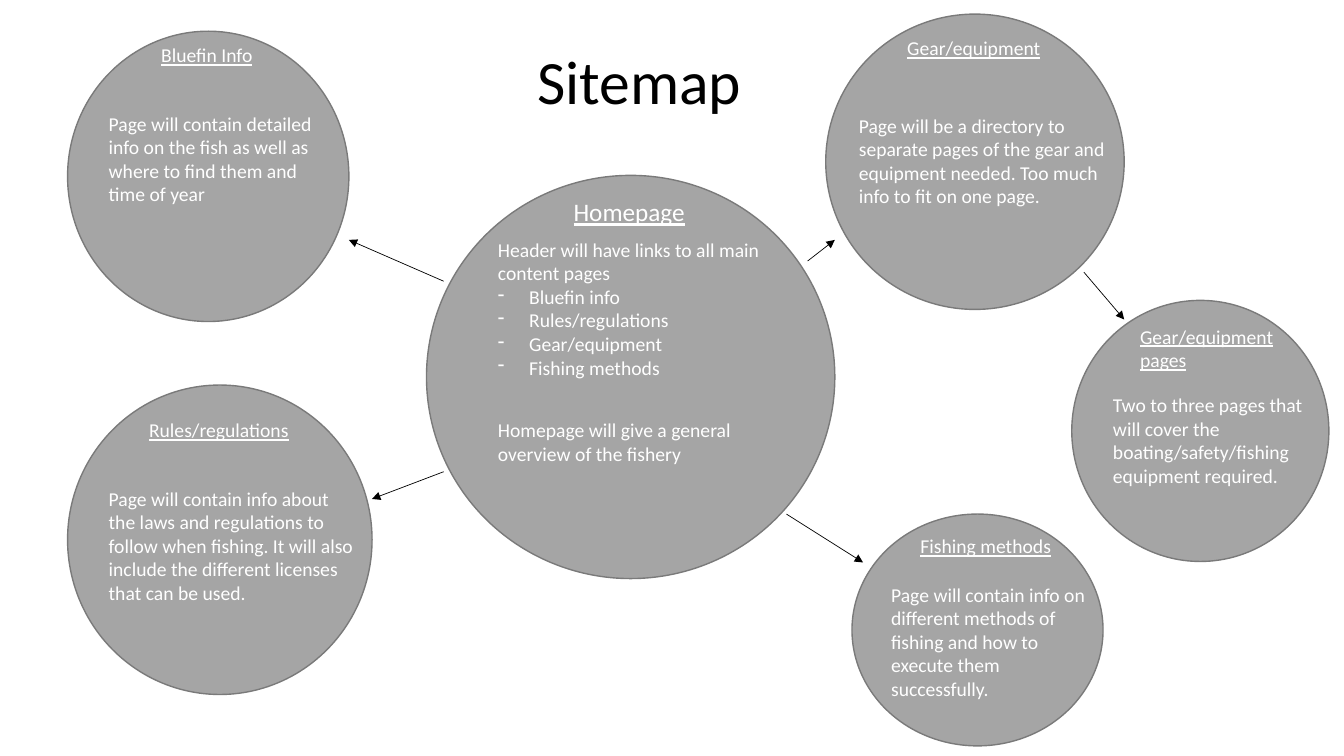
"""Build the fishing website sitemap slide."""
from dataclasses import dataclass

from lxml import etree
from pptx import Presentation
from pptx.dml.color import RGBColor
from pptx.enum import shapes, text
from pptx.oxml import ns
from pptx.util import Inches, Pt


@dataclass(frozen=True)
class Theme:
    font: str = "Calibri"
    fill: str = "A5A5A5"
    outline: str = "7A7A7A"
    light: str = "FFFFFF"
    dark: str = "000000"
    title: int = 44
    heading: int = 18
    body: int = 14
    outline_width: float = 1
    arrow_width: float = 0.5


THEME = Theme()
SLIDE_SIZE = (13.33, 7.5)
BULLET_INDENT = 0.31
TITLE = ("Sitemap", (5.23, 0.38, 2.25, 0.84))

BUBBLES = [
    {"circle": (4.23, 1.74, 4.05, 4), "size": THEME.heading,
     "heading": ("Homepage", (5.59, 1.9, 1.32, 0.4)),
     "notes": [("Header will have links to all main content pages", (4.84, 2.31, 3.44, 1.51)),
               ("Homepage will give a general overview of the fishery", (4.84, 4.1, 2.56, 0.57))],
     "links": ["Bluefin info", "Rules/regulations", "Gear/equipment", "Fishing methods"]},
    {"circle": (0.67, 0.31, 2.79, 2.88),
     "heading": ("Bluefin Info", (1.5, 0.38, 1.12, 0.34)),
     "notes": [("Page will contain detailed info on the fish as well as where to find them "
                "and time of year", (0.98, 1.06, 2.34, 1.04))]},
    {"circle": (0.67, 3.82, 3.02, 3.07),
     "heading": ("Rules/regulations", (1.38, 4.1, 1.6, 0.34)),
     "notes": [("Page will contain info about the laws and regulations to follow when fishing. "
                "It will also include the different licenses that can be used.",
                (0.98, 4.78, 2.64, 1.28))]},
    {"circle": (8.19, 0.14, 2.96, 2.93),
     "heading": ("Gear/equipment", (8.9, 0.31, 1.54, 0.34)),
     "notes": [("Page will be a directory to separate pages of the gear and equipment needed. "
                "Too much info to fit on one page.", (8.42, 1.08, 2.73, 1.04))]},
    {"circle": (8.45, 5.1, 2.49, 2.3),
     "heading": ("Fishing methods", (9.03, 5.25, 1.51, 0.34)),
     "notes": [("Page will contain info on different methods of fishing and how to execute "
                "them successfully.", (8.74, 5.73, 2.2, 1.28))]},
    {"circle": (10.63, 2.98, 2.55, 2.59), "wrap_heading": True,
     "heading": ("Gear/equipment pages", (11.21, 3.17, 1.97, 0.57)),
     "notes": [("Two to three pages that will cover the boating/safety/fishing equipment "
                "required.", (10.94, 3.85, 2.12, 1.04))]},
]

ARROWS = [
    ((4.4, 2.79), (3.46, 2.38)),
    ((4.4, 4.68), (3.69, 4.95)),
    ((8.01, 2.59), (8.28, 2.38)),
    ((7.8, 5.1), (8.56, 5.58)),
    ((10.75, 2.7), (11.15, 3.17)),
]


def inches(lengths):
    return [Inches(length) for length in lengths]


def color(name):
    return RGBColor.from_string(name)


def add_circle(page, place):
    circle = page.shapes.add_shape(shapes.MSO_SHAPE.OVAL, *inches(place))
    circle.shadow.inherit = False
    circle.fill.solid()
    circle.fill.fore_color.rgb = color(THEME.fill)
    circle.line.color.rgb = color(THEME.outline)
    circle.line.width = Pt(THEME.outline_width)


def add_bullet(para):
    properties = para._p.get_or_add_pPr()
    properties.set("marL", str(Inches(BULLET_INDENT)))
    properties.set("indent", str(-Inches(BULLET_INDENT)))
    etree.SubElement(properties, ns.qn("a:buChar"), char="-")


def add_text(page, words, place, size=THEME.body, ink=THEME.light,
             underline=None, wrap=True, bullets=()):
    box = page.shapes.add_textbox(*inches(place))
    frame = box.text_frame
    frame.word_wrap = wrap
    frame.auto_size = text.MSO_AUTO_SIZE.SHAPE_TO_FIT_TEXT
    frame.text = "\n".join([words, *bullets])
    for para in frame.paragraphs:
        for span in para.runs:
            span.font.name = THEME.font
            span.font.size = Pt(size)
            span.font.color.rgb = color(ink)
            span.font.underline = underline
    for para in frame.paragraphs[1:]:
        add_bullet(para)


def add_bubble(page, bubble):
    add_circle(page, bubble["circle"])
    add_text(page, *bubble["heading"], size=bubble.get("size", THEME.body),
             underline=True, wrap=bubble.get("wrap_heading", False))
    for number, (words, place) in enumerate(bubble["notes"]):
        links = bubble.get("links", ()) if number == 0 else ()
        add_text(page, words, place, bullets=links)


def add_arrow(page, start, end):
    arrow = page.shapes.add_connector(shapes.MSO_CONNECTOR.STRAIGHT, *inches(start + end))
    arrow.line.color.rgb = color(THEME.dark)
    arrow.line.width = Pt(THEME.arrow_width)
    etree.SubElement(arrow.line._get_or_add_ln(), ns.qn("a:tailEnd"), type="triangle")
    etree.SubElement(arrow._element.spPr, ns.qn("a:effectLst"))


def main():
    deck = Presentation()
    deck.slide_width, deck.slide_height = inches(SLIDE_SIZE)
    page = deck.slides.add_slide(deck.slide_layouts[6])
    for bubble in BUBBLES:
        add_bubble(page, bubble)
    for start, end in ARROWS:
        add_arrow(page, start, end)
    add_text(page, *TITLE, size=THEME.title, ink=THEME.dark, wrap=False)
    deck.save("out.pptx")


if __name__ == "__main__":
    main()
